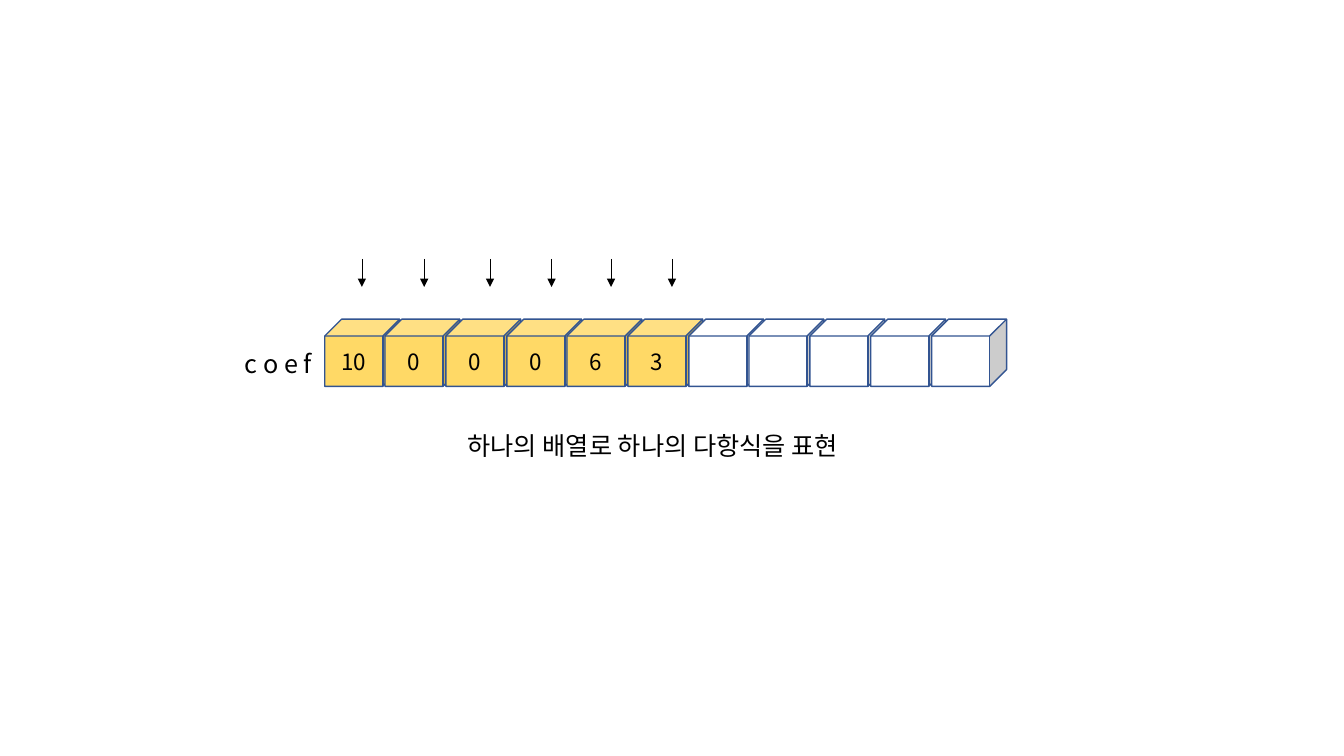
"""Build a slide that shows a polynomial's coefficients held in one array."""
from dataclasses import dataclass

from lxml import etree
from pptx import Presentation
from pptx.dml.color import RGBColor
from pptx.enum.shapes import MSO_CONNECTOR, MSO_SHAPE
from pptx.enum.text import MSO_ANCHOR, MSO_AUTO_SIZE, PP_ALIGN
from pptx.oxml.ns import qn
from pptx.util import Emu, Pt

CUBE = MSO_SHAPE.CUBE
STRAIGHT = MSO_CONNECTOR.STRAIGHT
CENTER = PP_ALIGN.CENTER
MIDDLE = MSO_ANCHOR.MIDDLE
GROW = MSO_AUTO_SIZE.SHAPE_TO_FIT_TEXT

EMU_PER_PX = 6350
SLIDE_WIDTH, SLIDE_HEIGHT = 1920, 1080
BLANK_LAYOUT = 6


@dataclass(frozen=True)
class Theme:
    font: str = "Noto Sans CJK KR"
    ink: RGBColor = RGBColor(0x00, 0x00, 0x00)
    used: RGBColor = RGBColor(0xFF, 0xD9, 0x66)
    unused: RGBColor = RGBColor(0xFF, 0xFF, 0xFF)
    edge: RGBColor = RGBColor(0x32, 0x54, 0x91)
    label_size: int = 18
    cell_size: int = 16
    edge_width: float = 1
    arrow_width: float = 0.5


@dataclass(frozen=True)
class Box:
    left: int
    top: int
    width: int
    height: int

    def to_emu(self) -> tuple:
        return tuple(px(value) for value in (self.left, self.top, self.width, self.height))


@dataclass(frozen=True)
class Label:
    text: str
    box: Box


@dataclass(frozen=True)
class Cell:
    text: str
    box: Box
    fill: RGBColor


THEME = Theme()
COEFFICIENTS = ("10", "0", "0", "0", "6", "3")
CELL_COUNT = 11
ROW_LEFT, ROW_TOP = 464, 456
CELL_WIDTH, CELL_HEIGHT = 107, 96
LAST_CELL_OFFSET = 867
ARROW_CENTERS = (517, 606, 700, 788, 873, 960)
ARROW_TOP, ARROW_BOTTOM = 370, 410
CAPTION = Label("하나의 배열로 하나의 다항식을 표현", Box(566, 608, 733, 58))
ARRAY_NAME = Label("c o e f", Box(323, 490, 150, 58))


def px(value: int) -> Emu:
    return Emu(value * EMU_PER_PX)


def write_text(shape, text: str, *, size: int, color: RGBColor = THEME.ink) -> None:
    paragraph = shape.text_frame.paragraphs[0]
    paragraph.alignment = CENTER
    run = paragraph.add_run()
    run.text = text
    run.font.size = Pt(size)
    run.font.color.rgb = color
    run.font.name = THEME.font
    properties = run.font._element
    etree.SubElement(properties, qn("a:ea"), typeface=THEME.font)


def draw_label(slide, label: Label) -> None:
    shape = slide.shapes.add_textbox(*label.box.to_emu())
    shape.text_frame.word_wrap = True
    shape.text_frame.auto_size = GROW
    write_text(shape, label.text, size=THEME.label_size)


def draw_cell(slide, cell: Cell) -> None:
    shape = slide.shapes.add_shape(CUBE, *cell.box.to_emu())
    shape.shadow.inherit = False
    shape.fill.solid()
    shape.fill.fore_color.rgb = cell.fill
    shape.line.color.rgb = THEME.edge
    shape.line.width = Pt(THEME.edge_width)
    shape.text_frame.vertical_anchor = MIDDLE
    if cell.text:
        write_text(shape, cell.text, size=THEME.cell_size)


def draw_arrow(slide, center: int) -> None:
    arrow = slide.shapes.add_connector(
        STRAIGHT, px(center), px(ARROW_TOP), px(center), px(ARROW_BOTTOM)
    )
    arrow.line.color.rgb = THEME.ink
    arrow.line.width = Pt(THEME.arrow_width)
    etree.SubElement(arrow.line._get_or_add_ln(), qn("a:tailEnd"), type="triangle")
    etree.SubElement(arrow._element.spPr, qn("a:effectLst"))


def make_cell(index: int) -> Cell:
    left = ROW_LEFT + index * LAST_CELL_OFFSET // (CELL_COUNT - 1)
    box = Box(left, ROW_TOP, CELL_WIDTH, CELL_HEIGHT)
    if index < len(COEFFICIENTS):
        return Cell(COEFFICIENTS[index], box, THEME.used)
    return Cell("", box, THEME.unused)


def main() -> None:
    presentation = Presentation()
    presentation.slide_width = px(SLIDE_WIDTH)
    presentation.slide_height = px(SLIDE_HEIGHT)
    slide = presentation.slides.add_slide(presentation.slide_layouts[BLANK_LAYOUT])
    draw_label(slide, CAPTION)
    for index in range(CELL_COUNT):
        draw_cell(slide, make_cell(index))
    draw_label(slide, ARRAY_NAME)
    for center in ARROW_CENTERS:
        draw_arrow(slide, center)
    presentation.save("out.pptx")


if __name__ == "__main__":
    main()
